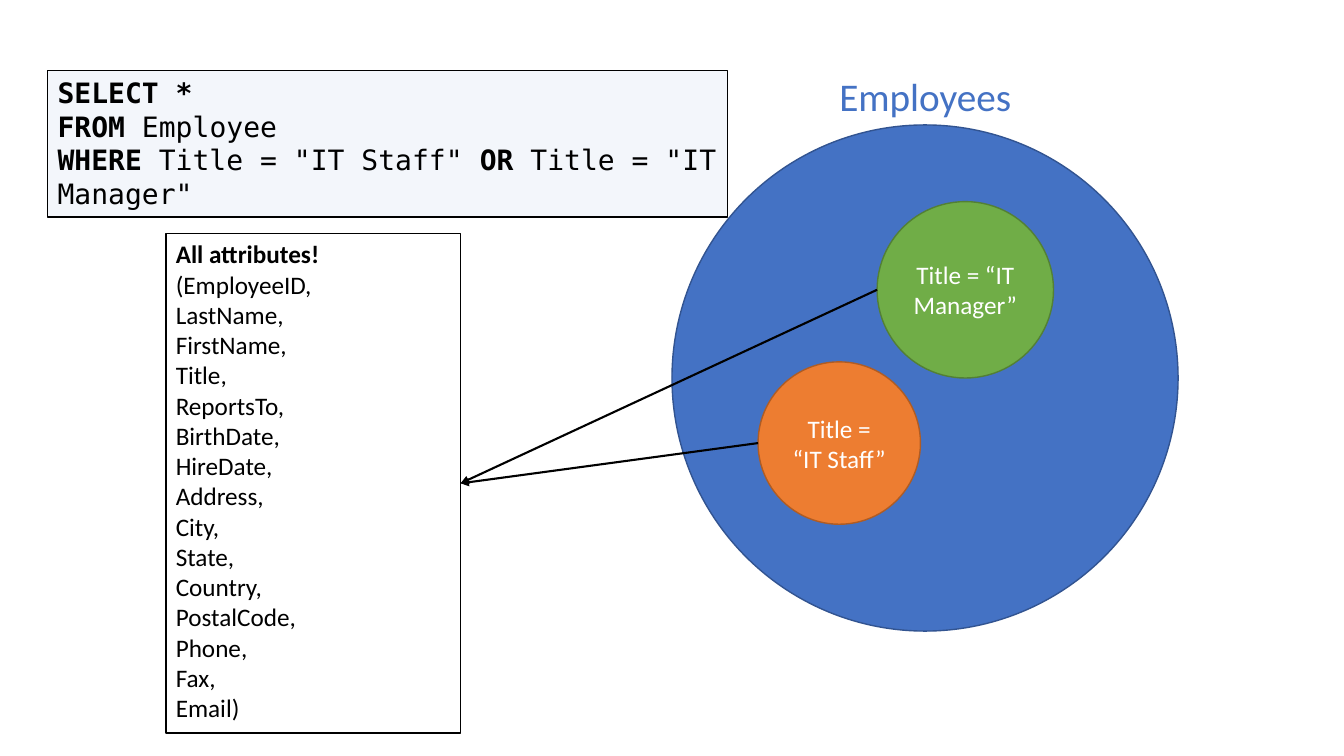
from dataclasses import dataclass

from lxml import etree
from pptx import Presentation
from pptx import util as u
from pptx.dml.color import RGBColor
from pptx.enum import shapes, text
from pptx.oxml.ns import qn

COLOURS = {
    "black": "000000", "white": "FFFFFF", "code": "F3F6FB",
    "blue": "4472C4", "blue_edge": "325491",
    "orange": "ED7D31", "orange_edge": "AF5C24",
    "green": "70AD47", "green_edge": "538035",
}
BODY_FONT = "Calibri"
CODE_FONT = "DejaVu Sans Mono"

Run = tuple[str, bool]  # wording, bold


@dataclass(frozen=True)
class Circle:
    left: float
    top: float
    size: float
    colour: str
    label: str = ""


@dataclass(frozen=True)
class Panel:
    left: float
    top: float
    width: float
    height: float
    fill: str
    border: float
    font: str
    size: float
    lines: list[list[Run]]


EMPLOYEES = Circle(480, 89.25, 361.5, "blue")
STAFF = Circle(541.5, 258.5, 116, "orange", "Title = “IT Staff”")
MANAGER = Circle(626.5, 144, 126, "green", "Title = “IT Manager”")

ATTRIBUTES = ["(EmployeeID,", "LastName,", "FirstName,", "Title,", "ReportsTo,",
              "BirthDate,", "HireDate,", "Address,", "City,", "State,", "Country,",
              "PostalCode,", "Phone,", "Fax,", "Email)"]
RESULT = Panel(118.5, 167, 210.5, 356.5, "white", 1, BODY_FONT, 18,
               [[("All attributes!", True)]] + [[(name, False)] for name in ATTRIBUTES])
QUERY = Panel(34, 50.5, 485.5, 104.5, "code", 0.75, CODE_FONT, 20, [
    [("SELECT *", True)],
    [("FROM", True), (" Employee", False)],
    [("WHERE", True), (' Title = "IT Staff" ', False),
     ("OR", True), (' Title = "IT Manager"', False)],
])


def rgb(name: str) -> RGBColor:
    return RGBColor.from_string(COLOURS[name])


def set_font(font, name: str, size: float, colour: str) -> None:
    font.name, font.size = name, u.Pt(size)
    font.color.rgb = rgb(colour)


def add_outlined(slide, preset, box: tuple, fill: str, edge: str, border: float):
    shape = slide.shapes.add_shape(preset, *map(u.Pt, box))
    shape.shadow.inherit = False
    shape.fill.solid()
    shape.fill.fore_color.rgb = rgb(fill)
    shape.line.color.rgb = rgb(edge)
    shape.line.width = u.Pt(border)
    return shape


def add_circle(slide, circle: Circle) -> None:
    box = (circle.left, circle.top, circle.size, circle.size)
    shape = add_outlined(slide, shapes.MSO_SHAPE.OVAL, box,
                         circle.colour, f"{circle.colour}_edge", 1)
    if circle.label:
        frame = shape.text_frame
        frame.vertical_anchor = text.MSO_ANCHOR.MIDDLE
        paragraph = frame.paragraphs[0]
        paragraph.text = circle.label
        paragraph.alignment = text.PP_ALIGN.CENTER
        set_font(paragraph.font, BODY_FONT, 18, "white")


def add_panel(slide, panel: Panel):
    box = (panel.left, panel.top, panel.width, panel.height)
    shape = add_outlined(slide, shapes.MSO_SHAPE.RECTANGLE, box,
                         panel.fill, "black", panel.border)
    frame = shape.text_frame
    frame.word_wrap = True
    frame.auto_size = text.MSO_AUTO_SIZE.SHAPE_TO_FIT_TEXT
    frame.vertical_anchor = text.MSO_ANCHOR.TOP
    for index, line in enumerate(panel.lines):
        paragraph = frame.add_paragraph() if index else frame.paragraphs[0]
        paragraph.alignment = text.PP_ALIGN.LEFT
        set_font(paragraph.font, panel.font, panel.size, "black")
        for wording, bold in line:
            run = paragraph.add_run()
            run.text = wording
            run.font.bold = bold
    return shape


def add_set_name(slide) -> None:
    """Write the name of the whole set above its circle."""
    label = slide.shapes.add_textbox(*map(u.Pt, (550, 48.25, 221.75, 41)))
    frame = label.text_frame
    frame.word_wrap = True
    frame.auto_size = text.MSO_AUTO_SIZE.SHAPE_TO_FIT_TEXT
    paragraph = frame.paragraphs[0]
    paragraph.text = "Employees"
    paragraph.alignment = text.PP_ALIGN.CENTER
    set_font(paragraph.font, BODY_FONT, 28, "blue")


def add_arrow(slide, circle: Circle, target) -> None:
    """Point from the left edge of a circle to the right side of the target."""
    start = u.Pt(circle.left), u.Pt(circle.top + circle.size / 2)
    arrow = slide.shapes.add_connector(shapes.MSO_CONNECTOR.STRAIGHT, *start, *start)
    arrow.end_connect(target, 3)
    arrow.line.color.rgb = rgb("black")
    arrow.line.width = u.Pt(1.5)
    etree.SubElement(arrow.line._get_or_add_ln(), qn("a:tailEnd"), type="triangle")
    etree.SubElement(arrow._element.spPr, qn("a:effectLst"))


def main() -> None:
    deck = Presentation()
    deck.slide_width, deck.slide_height = u.Pt(960), u.Pt(540)
    slide = deck.slides.add_slide(deck.slide_layouts.get_by_name("Blank"))
    add_circle(slide, EMPLOYEES)
    add_set_name(slide)
    result = add_panel(slide, RESULT)
    add_panel(slide, QUERY)
    for subset in (STAFF, MANAGER):
        add_circle(slide, subset)
        add_arrow(slide, subset, result)
    deck.save("out.pptx")


if __name__ == "__main__":
    main()
